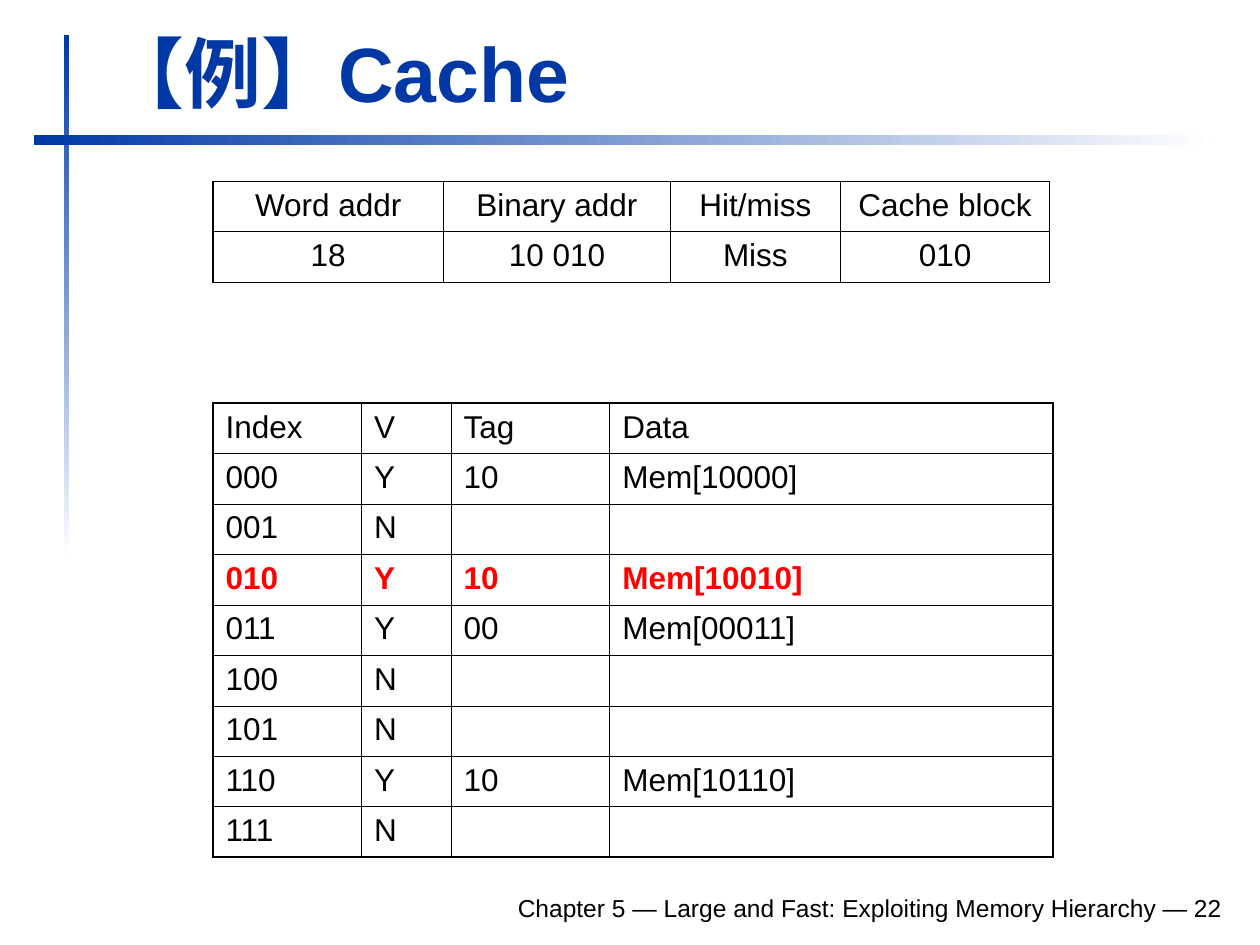
import pptx
import pptx.dml.color
import pptx.enum.shapes
import pptx.enum.text
import pptx.oxml.ns
import pptx.util
from lxml import etree

Inches = pptx.util.Inches
Pt = pptx.util.Pt
RGBColor = pptx.dml.color.RGBColor
PP_ALIGN = pptx.enum.text.PP_ALIGN
MSO_ANCHOR = pptx.enum.text.MSO_ANCHOR
MSO_AUTO_SIZE = pptx.enum.text.MSO_AUTO_SIZE
qn = pptx.oxml.ns.qn

BLUE = RGBColor(0x00, 0x39, 0xA6)
WHITE = RGBColor(0xFF, 0xFF, 0xFF)
BLACK = RGBColor(0x00, 0x00, 0x00)
RED = RGBColor(0xFF, 0x00, 0x00)

OUTER, HEADER, INNER = 1.08, 0.75, 0.45  # table border widths in points


class SlideBuilder:
    font = "Arial"
    row_height = 0.4

    def __init__(self, slide):
        self.s = slide

    def style_text(self, tf, text, size, color=BLACK, bold=False, align=PP_ALIGN.LEFT):
        tf.text = text
        p = tf.paragraphs[0]
        p.alignment = align
        for r in p.runs:
            r.font.name = self.font
            r.font.size = Pt(size)
            r.font.bold = bold
            r.font.color.rgb = color

    def title(self, text, x, y, w, h):
        sp = self.s.shapes.title
        sp.left, sp.top, sp.width, sp.height = map(Inches, (x, y, w, h))
        tf = sp.text_frame
        tf.vertical_anchor = MSO_ANCHOR.BOTTOM
        tf.auto_size = MSO_AUTO_SIZE.SHAPE_TO_FIT_TEXT
        self.style_text(tf, text, 44, BLUE, bold=True)

    def footer(self, text, x, y, w, h):
        tf = self.s.shapes.add_textbox(*map(Inches, (x, y, w, h))).text_frame
        tf.word_wrap = True
        tf.vertical_anchor = MSO_ANCHOR.BOTTOM
        self.style_text(tf, text, 14, align=PP_ALIGN.RIGHT)

    def fading_bar(self, x, y, w, h, angle):
        sp = self.s.shapes.add_shape(pptx.enum.shapes.MSO_SHAPE.RECTANGLE,
                                     *map(Inches, (x, y, w, h)))
        sp.shadow.inherit = False
        sp.line.fill.background()
        sp.fill.gradient()
        sp.fill.gradient_angle = angle
        for stop, color, position in zip(sp.fill.gradient_stops, (BLUE, WHITE), (0, 1)):
            stop.color.rgb = color
            stop.position = position

    def borders(self, cell, widths):
        tcPr = cell._tc.get_or_add_tcPr()
        for side, width in zip("LRTB", widths):
            ln = etree.SubElement(tcPr, qn("a:ln" + side), w=str(Pt(width)))
            fill = etree.SubElement(ln, qn("a:solidFill"))
            etree.SubElement(fill, qn("a:srgbClr"), val=str(BLACK))

    def table(self, rows, x, y, col_widths, align=PP_ALIGN.LEFT, highlight=None):
        n_rows, n_cols = len(rows), len(col_widths)
        table = self.s.shapes.add_table(
            n_rows, n_cols, Inches(x), Inches(y),
            Inches(sum(col_widths)), Inches(n_rows * self.row_height)).table
        table.first_row = table.horz_banding = False
        for column, width in zip(table.columns, col_widths):
            column.width = Inches(width)
        # Border widths by grid line: outer frame, header rule, inner rules
        v_lines = [OUTER] + [INNER] * (n_cols - 1) + [OUTER]
        h_lines = [OUTER, HEADER] + [INNER] * (n_rows - 2) + [OUTER]
        for i, row in enumerate(rows):
            table.rows[i].height = Inches(self.row_height)
            marked = i == highlight
            for j, text in enumerate(row):
                cell = table.cell(i, j)
                self.style_text(cell.text_frame, text, 18, RED if marked else BLACK,
                                marked, align)
                self.borders(cell, v_lines[j:j + 2] + h_lines[i:i + 2])
                cell.fill.background()


def main():
    prs = pptx.Presentation()
    prs.slide_width, prs.slide_height = Inches(10), Inches(7.5)
    page = SlideBuilder(prs.slides.add_slide(prs.slide_layouts[5]))

    # Crossing bars and title
    page.fading_bar(0.51, 0.28, 0.04, 4.17, angle=270)
    page.fading_bar(0.27, 1.07, 9.37, 0.08, angle=0)
    page.title("【例】Cache", 0.75, 0.16, 9.03, 0.83)

    # Cache contents, with the accessed block highlighted
    page.table([
        ("Index", "V", "Tag", "Data"),
        ("000", "Y", "10", "Mem[10000]"),
        ("001", "N", "", ""),
        ("010", "Y", "10", "Mem[10010]"),
        ("011", "Y", "00", "Mem[00011]"),
        ("100", "N", "", ""),
        ("101", "N", "", ""),
        ("110", "Y", "10", "Mem[10110]"),
        ("111", "N", "", ""),
    ], 1.69, 3.2, (1.18, 0.71, 1.26, 3.52), highlight=3)

    # Memory access
    page.table([
        ("Word addr", "Binary addr", "Hit/miss", "Cache block"),
        ("18", "10 010", "Miss", "010"),
    ], 1.69, 1.44, (1.83, 1.8, 1.35, 1.66), align=PP_ALIGN.CENTER)

    # Footer
    page.footer("Chapter 5 — Large and Fast: Exploiting Memory Hierarchy — 22",
                1.85, 6.98, 7.95, 0.39)

    prs.save("out.pptx")


if __name__ == "__main__":
    main()
